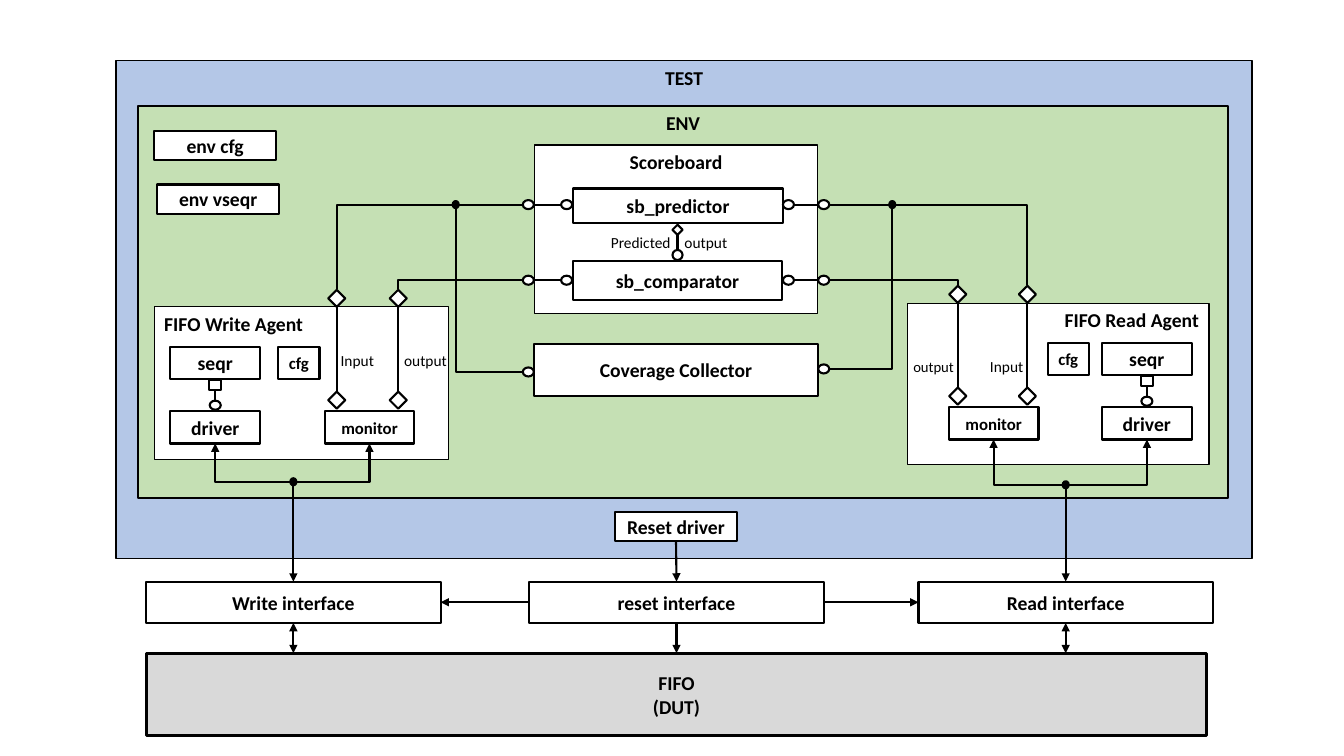
from dataclasses import dataclass
from typing import Optional

from lxml import etree
from pptx import Presentation
from pptx.dml.color import RGBColor
from pptx.enum.shapes import MSO_CONNECTOR, MSO_SHAPE
from pptx.enum.text import MSO_ANCHOR, PP_ALIGN
from pptx.oxml.ns import qn
from pptx.util import Inches, Pt

BLACK = RGBColor(0x00, 0x00, 0x00)
WHITE = RGBColor(0xFF, 0xFF, 0xFF)
BLUE = RGBColor(0xB4, 0xC7, 0xE7)
GREEN = RGBColor(0xC5, 0xE0, 0xB4)
GREY = RGBColor(0xD9, 0xD9, 0xD9)
FONT = "Calibri"

RECTANGLE, OVAL = MSO_SHAPE.RECTANGLE, MSO_SHAPE.OVAL
DIAMOND = MSO_SHAPE.FLOWCHART_DECISION
STRAIGHT, ELBOW = MSO_CONNECTOR.STRAIGHT, MSO_CONNECTOR.ELBOW
LEFT, CENTER, RIGHT = PP_ALIGN.LEFT, PP_ALIGN.CENTER, PP_ALIGN.RIGHT
TOP, MIDDLE = MSO_ANCHOR.TOP, MSO_ANCHOR.MIDDLE
TOP_SIDE, LEFT_SIDE, BOTTOM_SIDE, RIGHT_SIDE = range(4)

PREDICTOR_Y, COMPARATOR_Y = 2.03, 2.78
DUT_TOP = 6.48
SMALL_WIDTH, SMALL_HEIGHT = 0.89, 0.32
INTERFACE_WIDTH = 2.92


@dataclass
class Box:
    text: str
    left: float
    top: float
    width: float
    height: float
    fill: Optional[RGBColor] = WHITE
    weight: float = 1.5
    anchor: MSO_ANCHOR = MIDDLE
    align: PP_ALIGN = CENTER
    size: float = 14


@dataclass
class Agent:
    frame: Box
    row: float
    driver_left: float
    monitor_left: float
    cfg_left: float
    input_x: float
    output_x: float
    inner_port_x: float
    outer_port_x: float
    tap_x: float
    collector_y: float
    bus_y: float
    interface: Box


FRAMES = [
    Box("TEST", 1.15, 0.6, 11.27, 4.94, BLUE, 1, TOP),
    Box("ENV", 1.37, 1.05, 10.81, 3.89, GREEN, 1, TOP),
    Box("Scoreboard", 5.3, 1.44, 2.81, 1.67, WHITE, 1, TOP),
    Box("sb_predictor", 5.68, 1.87, 2.09, 0.34),
    Box("sb_comparator", 5.68, 2.59, 2.08, 0.39),
    Box("Coverage Collector", 5.3, 3.41, 2.81, 0.52),
    Box("env cfg", 1.53, 1.3, 1.21, 0.29),
    Box("env vseqr", 1.56, 1.83, 1.21, 0.29),
]
DUT = Box("FIFO\n(DUT)", 1.45, DUT_TOP, 10.52, 0.82, GREY, 2.25)
RESET_DRIVER = Box("Reset driver", 6.1, 5.08, 1.21, 0.29)
RESET_INTERFACE = Box("reset interface", 5.25, 5.77, INTERFACE_WIDTH, 0.41)
AGENTS = [
    Agent(Box("FIFO Write Agent", 1.53, 3.04, 2.92, 1.52, WHITE, 1, TOP, LEFT),
          3.44, 1.69, 3.22, 2.76, 3.34, 3.95, 5.62, 5.24, 4.52, 3.69, 4.78,
          Box("Write interface", 1.45, 5.77, INTERFACE_WIDTH, 0.41)),
    Agent(Box("FIFO Read Agent", 9, 3.01, 2.99, 1.6, WHITE, 1, TOP, RIGHT),
          3.4, 10.93, 9.41, 10.39, 10.19, 9.5, 7.82, 8.17, 8.85, 3.66, 4.81,
          Box("Read interface", 9.11, 5.77, INTERFACE_WIDTH, 0.41)),
]
LABELS = [
    ("Input", 3.28, 3.43, 11), ("output", 3.91, 3.43, 11),
    ("output", 8.96, 3.5, 10.5), ("Input", 9.72, 3.49, 11),
    ("Predicted", 5.96, 2.26, 11), ("output", 6.69, 2.26, 11),
]


def write(para, text, size, bold):
    span = para.add_run()
    span.text = text
    span.font.name, span.font.size, span.font.bold = FONT, Pt(size), bold
    span.font.color.rgb = BLACK


def draw_shape(page, kind, left, top, width, height, fill=WHITE, weight=1.5):
    shape = page.shapes.add_shape(kind, Inches(left), Inches(top), Inches(width), Inches(height))
    shape.shadow.inherit = False
    shape.fill.solid()
    shape.fill.fore_color.rgb = fill
    shape.line.color.rgb = BLACK
    shape.line.width = Pt(weight)
    return shape


def draw_box(page, box: Box):
    shape = draw_shape(page, RECTANGLE, box.left, box.top, box.width, box.height,
                       box.fill, box.weight)
    frame = shape.text_frame
    frame.vertical_anchor = box.anchor
    if box.anchor == MIDDLE:
        frame.margin_left = frame.margin_right = 0
    for index, text in enumerate(box.text.split("\n")):
        para = frame.add_paragraph() if index else frame.paragraphs[0]
        para.alignment = box.align
        write(para, text, box.size, True)
    return shape


def draw_marker(page, kind, x: float, y: float, width: float, height: float, fill=WHITE):
    """Draw a small shape centred on x, y."""
    return draw_shape(page, kind, x - width / 2, y - height / 2, width, height, fill)


def draw_port(page, x: float, y: float):
    return draw_marker(page, OVAL, x, y, 0.11, 0.09)


def draw_junction(page, x: float, y: float):
    draw_marker(page, OVAL, x, y, 0.06, 0.07, BLACK)


def draw_line(page, kind, start=(0, 0), end=(0, 0), head=False, tail=False):
    line = page.shapes.add_connector(kind, *map(Inches, (*start, *end)))
    line.line.color.rgb = BLACK
    line.line.width = Pt(1.5)
    outline = line.line._get_or_add_ln()
    for tag, wanted in (("a:headEnd", head), ("a:tailEnd", tail)):
        if wanted:
            etree.SubElement(outline, qn(tag), type="triangle")
    etree.SubElement(line._element.spPr, qn("a:effectLst"))
    return line


def draw_corner(page, start, end, tail=False):
    """Draw a line that runs across first, then up or down."""
    line = draw_line(page, ELBOW, start, end, tail=tail)
    line._element.spPr.find(qn("a:prstGeom")).set("prst", "bentConnector2")


def join(page, first, first_side, second, second_side, tail=False):
    line = draw_line(page, STRAIGHT, tail=tail)
    line.begin_connect(first, first_side)
    line.end_connect(second, second_side)


def draw_agent(page, agent: Agent):
    row, driver_top = agent.row, agent.row + 0.64
    draw_box(page, agent.frame)
    for text, left, top, width, size in (
            ("seqr", agent.driver_left, row, SMALL_WIDTH, 14),
            ("driver", agent.driver_left, driver_top, SMALL_WIDTH, 14),
            ("monitor", agent.monitor_left, driver_top, SMALL_WIDTH, 12),
            ("cfg", agent.cfg_left, row, 0.41, 12)):
        draw_box(page, Box(text, left, top, width, SMALL_HEIGHT, size=size))

    driver_x = agent.driver_left + SMALL_WIDTH / 2
    socket = draw_marker(page, RECTANGLE, driver_x, row + 0.38, 0.12, 0.1)
    join(page, socket, BOTTOM_SIDE, draw_port(page, driver_x, row + 0.58), TOP_SIDE)

    for x, y in ((agent.input_x, PREDICTOR_Y), (agent.output_x, COMPARATOR_Y)):
        draw_corner(page, (agent.inner_port_x, y), (x, row - 0.57))
        lower, upper = (draw_marker(page, DIAMOND, x, row + shift, 0.17, 0.17)
                        for shift in (0.53, -0.48))
        join(page, lower, TOP_SIDE, upper, BOTTOM_SIDE)
        draw_port(page, agent.inner_port_x, y)
        draw_port(page, agent.outer_port_x, y)
    draw_corner(page, (agent.outer_port_x, agent.collector_y), (agent.tap_x, PREDICTOR_Y))
    draw_port(page, agent.outer_port_x, agent.collector_y)
    draw_junction(page, agent.tap_x, PREDICTOR_Y)

    interface = draw_box(page, agent.interface)
    bus = (agent.interface.left + INTERFACE_WIDTH / 2, agent.bus_y)
    for left in (agent.driver_left, agent.monitor_left):
        draw_corner(page, bus, (left + SMALL_WIDTH / 2, driver_top + SMALL_HEIGHT), tail=True)
    draw_line(page, STRAIGHT, bus, bus, tail=True).end_connect(interface, TOP_SIDE)
    draw_junction(page, *bus)
    to_dut = draw_line(page, STRAIGHT, bus, (bus[0], DUT_TOP), head=True, tail=True)
    to_dut.begin_connect(interface, BOTTOM_SIDE)
    return interface


def main():
    deck = Presentation()
    deck.slide_width, deck.slide_height = Inches(13.33), Inches(7.5)
    page = deck.slides.add_slide(deck.slide_layouts[6])
    for box in FRAMES:
        draw_box(page, box)
    dut, reset_driver, reset_interface = (
        draw_box(page, box) for box in (DUT, RESET_DRIVER, RESET_INTERFACE))
    write_interface, read_interface = (draw_agent(page, agent) for agent in AGENTS)
    join(page, reset_driver, BOTTOM_SIDE, reset_interface, TOP_SIDE, tail=True)
    join(page, reset_interface, BOTTOM_SIDE, dut, TOP_SIDE, tail=True)
    join(page, reset_interface, LEFT_SIDE, write_interface, RIGHT_SIDE, tail=True)
    join(page, reset_interface, RIGHT_SIDE, read_interface, LEFT_SIDE, tail=True)
    predicted = draw_marker(page, OVAL, 6.72, 2.53, 0.1, 0.1)
    join(page, predicted, TOP_SIDE, draw_marker(page, DIAMOND, 6.72, 2.28, 0.1, 0.1), BOTTOM_SIDE)
    for text, left, top, size in LABELS:
        label = page.shapes.add_textbox(Inches(left), Inches(top), Inches(0.9), Inches(0.29))
        label.text_frame.word_wrap = True
        write(label.text_frame.paragraphs[0], text, size, False)
    deck.save("out.pptx")


if __name__ == "__main__":
    main()
